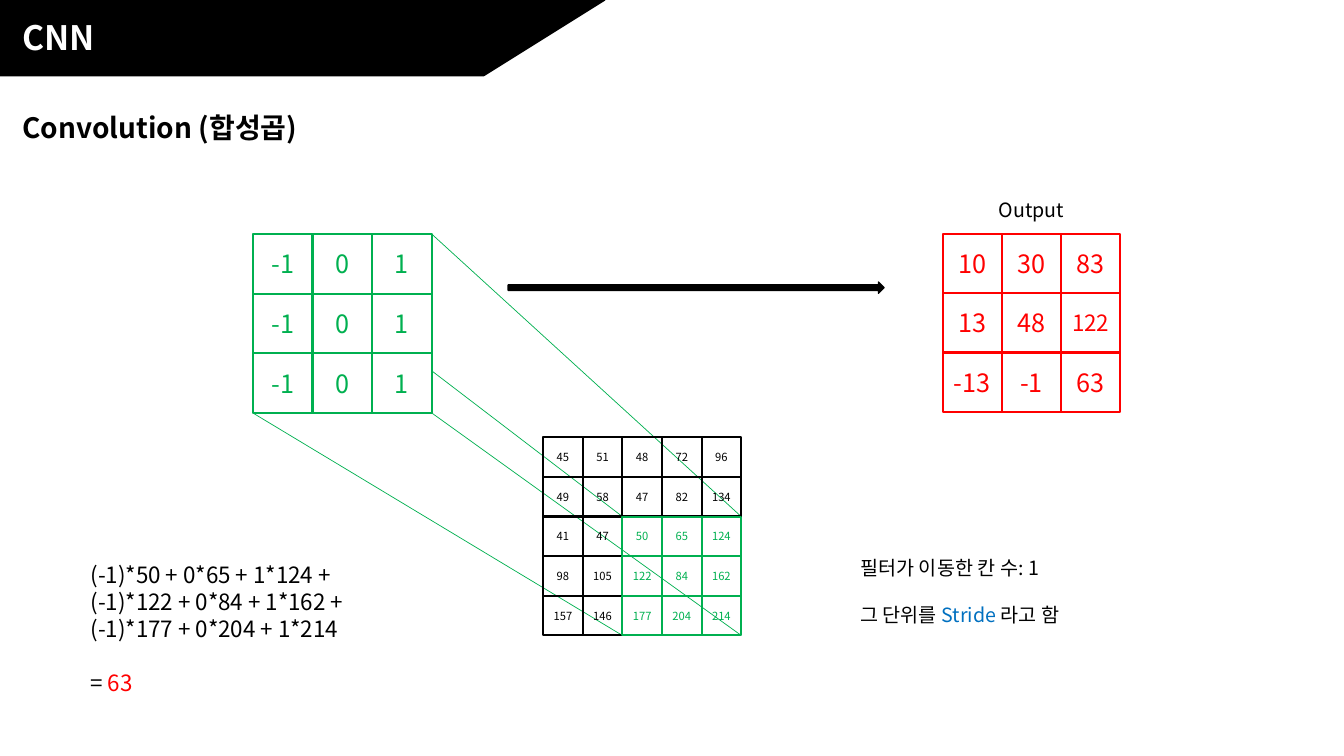
from lxml.etree import SubElement
from pptx import Presentation
from pptx.dml.color import RGBColor
from pptx.enum.shapes import MSO_CONNECTOR, MSO_SHAPE
from pptx.enum.text import MSO_ANCHOR, MSO_AUTO_SIZE, PP_ALIGN
from pptx.oxml.ns import qn
from pptx.util import Pt

COLORS = {
    "black": "000000",
    "white": "FFFFFF",
    "green": "00B050",
    "red": "FF0000",
    "blue": "0070C0",
}
FONT = "Noto Sans CJK KR"


class SlideBuilder:
    """Draw styled elements on one slide, with lengths in points."""

    def __init__(self, prs):
        self.s = prs.slides.add_slide(prs.slide_layouts[6])

    def color(self, name):
        return RGBColor.from_string(COLORS[name])

    def style(self, p, size, color, bold=False, align=PP_ALIGN.LEFT):
        p.alignment = align
        p.font.size = Pt(size)
        p.font.bold = bold
        p.font.name = FONT
        p.font.color.rgb = self.color(color)
        for props in p._p.iter(qn("a:defRPr")):
            SubElement(props, qn("a:ea"), typeface=FONT)

    def shape(self, kind, x, y, w, h, fill="black", line="black", weight=1):
        sp = self.s.shapes.add_shape(kind, Pt(x), Pt(y), Pt(w), Pt(h))
        sp.shadow.inherit = False
        if fill:
            sp.fill.solid()
            sp.fill.fore_color.rgb = self.color(fill)
        else:
            sp.fill.background()
        sp.line.color.rgb = self.color(line)
        sp.line.width = Pt(weight)
        return sp

    def line(self, start, end, color="green", weight=0.5):
        points = [Pt(v) for v in (*start, *end)]
        sp = self.s.shapes.add_connector(MSO_CONNECTOR.STRAIGHT, *points)
        sp.line.color.rgb = self.color(color)
        sp.line.width = Pt(weight)
        SubElement(sp._element.spPr, qn("a:effectLst"))

    def text(self, x, y, w, h, paragraphs, size, color="black", bold=False,
             align=PP_ALIGN.LEFT, last_gap=0):
        tf = self.s.shapes.add_textbox(Pt(x), Pt(y), Pt(w), Pt(h)).text_frame
        tf.word_wrap = True
        tf.auto_size = MSO_AUTO_SIZE.SHAPE_TO_FIT_TEXT
        for i, runs in enumerate(paragraphs):
            p = tf.add_paragraph() if i else tf.paragraphs[0]
            self.style(p, size, color, bold, align)
            for content, run_color in runs:
                r = p.add_run()
                r.text = content
                if run_color != color:
                    r.font.color.rgb = self.color(run_color)
        if last_gap:
            p.space_before = Pt(last_gap)

    def cell(self, x, y, side, value, size, color, fill):
        sp = self.shape(MSO_SHAPE.RECTANGLE, x, y, side, side, fill, color, 1.5)
        tf = sp.text_frame
        tf.margin_left = tf.margin_right = tf.margin_top = tf.margin_bottom = 0
        tf.vertical_anchor = MSO_ANCHOR.MIDDLE
        p = tf.paragraphs[0]
        p.text = str(value)
        self.style(p, size, color, align=PP_ALIGN.CENTER)

    def grid(self, x, y, side, rows, size, color, fill=None,
             window=None, three_digit_size=None):
        for i, row in enumerate(rows):
            for j, value in enumerate(row):
                in_window = window is not None and min(i, j) >= window
                cell_color = "green" if in_window else color
                small = three_digit_size and value >= 100
                self.cell(x + j * side, y + i * side, side, value,
                          three_digit_size if small else size, cell_color, fill)


KERNEL = [[-1, 0, 1]] * 3
IMAGE = [
    [45, 51, 48, 72, 96],
    [49, 58, 47, 82, 134],
    [41, 47, 50, 65, 124],
    [98, 105, 122, 84, 162],
    [157, 146, 177, 204, 214],
]
OUTPUT = [[10, 30, 83], [13, 48, 122], [-13, -1, 63]]
GRID_TOP = 167.2
KERNEL_LEFT, KERNEL_SIDE = 180.6, 42.6
IMAGE_LEFT, IMAGE_TOP, IMAGE_SIDE = 388, 312.4, 28.3
OUTPUT_LEFT, OUTPUT_SIDE = 673.4, 42.3
WINDOW_START = 2


def corners(x, y, side):
    return [(x + dx, y + dy) for dx in (0, side) for dy in (0, side)]


def main():
    prs = Presentation()
    prs.slide_width, prs.slide_height = Pt(960), Pt(540)
    b = SlideBuilder(prs)

    b.shape(MSO_SHAPE.RIGHT_ARROW, 363, 201.5, 268.5, 8)
    b.shape(MSO_SHAPE.RECTANGLE, 0, 0, 142.5, 54)
    b.shape(MSO_SHAPE.FLOWCHART_DATA, 0, 0, 432, 54)
    b.text(8.8, 8.6, 267, 36, [[("CNN", "white")]], 24, "white", bold=True)
    b.text(8.8, 75.4, 608, 32, [[("Convolution (합성곱)", "black")]], 20, bold=True)

    offset = WINDOW_START * IMAGE_SIDE
    kernel_corners = corners(KERNEL_LEFT, GRID_TOP, 3 * KERNEL_SIDE)
    window_corners = corners(IMAGE_LEFT + offset, IMAGE_TOP + offset, 3 * IMAGE_SIDE)
    for start, end in zip(kernel_corners, window_corners):
        b.line(start, end)

    b.grid(KERNEL_LEFT, GRID_TOP, KERNEL_SIDE, KERNEL, 18, "green", "white")
    b.grid(IMAGE_LEFT, IMAGE_TOP, IMAGE_SIDE, IMAGE, 8, "black",
           window=WINDOW_START)
    b.grid(OUTPUT_LEFT, GRID_TOP, OUTPUT_SIDE, OUTPUT, 18, "red", "white",
           three_digit_size=16)

    b.text(OUTPUT_LEFT, 137.5, 127, 24.2, [[("Output", "black")]], 14,
           align=PP_ALIGN.CENTER)
    b.text(57.6, 397.4, 227, 104.4, [
        [("(-1)*50 + 0*65 + 1*124 +", "black")],
        [("(-1)*122 + 0*84 + 1*162 +", "black")],
        [("(-1)*177 + 0*204 + 1*214", "black")],
        [("= ", "black"), ("63", "red")],
    ], 16, last_gap=19.3)
    b.text(607.5, 393.8, 258.5, 58.3, [
        [("필터가 이동한 칸 수: 1", "black")],
        [("그 단위를 ", "black"), ("Stride ", "blue"), ("라고 함", "black")],
    ], 14, last_gap=16.8)

    prs.save("out.pptx")


if __name__ == "__main__":
    main()
